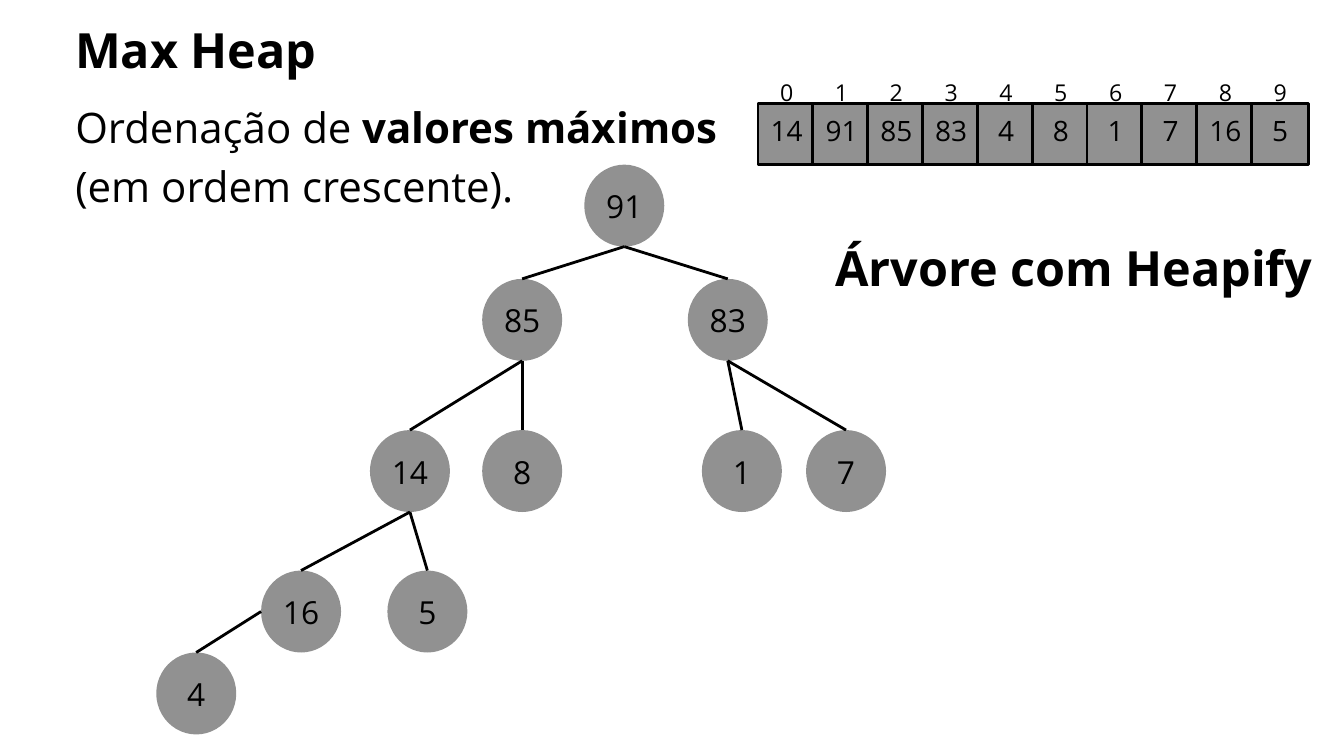
from typing import NamedTuple

from lxml import etree
from pptx import Presentation
from pptx import util as u
from pptx.dml.color import RGBColor
from pptx.enum import shapes, text
from pptx.oxml.ns import qn

WIDTH, HEIGHT = u.Inches(20), u.Inches(11.25)
BLACK = RGBColor(0x00, 0x00, 0x00)
GRAY = RGBColor(0x91, 0x91, 0x91)
FONT = "Open Sans"
LINE_FACTOR = 1.4
STROKE = u.Pt(3)
TOP = 0  # connection site at the top of an oval

# Places and sizes are percent shares of the slide's width and height.
NODE_W, NODE_H = 5.95, 10.84
LEVELS = (21.78, 36.89, 56.89, 75.47, 86.31)
ARRAY_LEFT, ARRAY_TOP = 56.4, 13.69
CELL_W, CELL_H, CELL_PITCH = 4.27, 8.09, 4.08
INDEX_TOP, INDEX_W, INDEX_H = 9.69, 1.2, 4
VALUES = (14, 91, 85, 83, 4, 8, 1, 7, 16, 5)


class Span(NamedTuple):
    words: str
    bold: bool = False


class Area(NamedTuple):
    left: float
    top: float
    width: float
    height: float

    def lengths(self) -> tuple[int, int, int, int]:
        return across(self.left), down(self.top), across(self.width), down(self.height)


class Node(NamedTuple):
    value: int
    center: float
    level: int
    parent: int | None = None
    from_side: bool = False


class Heading(NamedTuple):
    area: Area
    size: float
    lines: tuple[tuple[Span, ...], ...]
    align: text.PP_ALIGN = text.PP_ALIGN.CENTER


NODES = (
    Node(91, 46.45, 0),
    Node(85, 38.85, 1, 91),
    Node(83, 54.15, 1, 91),
    Node(14, 30.5, 2, 85),
    Node(8, 38.85, 2, 85),
    Node(1, 55.2, 2, 83),
    Node(7, 62.95, 2, 83),
    Node(16, 22.4, 3, 14),
    Node(5, 31.8, 3, 14),
    Node(4, 14.6, 4, 16, from_side=True),
)

HEADINGS = (
    Heading(Area(5.3, 1.33, 18.55, 8.62), 52, ((Span("Max Heap", True),),)),
    Heading(
        Area(5.6, 12.36, 47.9, 15.29), 45,
        ((Span("Ordenação de "), Span("valores máximos", True)),
         (Span("(em ordem crescente)."),)),
        text.PP_ALIGN.LEFT,
    ),
    Heading(Area(61.8, 30.13, 36.2, 8.62), 52, ((Span("Árvore com Heapify", True),),)),
)


def across(share: float) -> int:
    return round(WIDTH * share / 100)


def down(share: float) -> int:
    return round(HEIGHT * share / 100)


def apply(target, formats: dict) -> None:
    for name, value in formats.items():
        setattr(target, name, value)


def write(box, lines, size: float, align=text.PP_ALIGN.CENTER,
          anchor=text.MSO_ANCHOR.TOP, inset: float = 0, bottom: float = 0) -> None:
    frame = box.text_frame
    apply(frame, {
        "word_wrap": True, "vertical_anchor": anchor,
        "margin_left": u.Inches(inset), "margin_right": u.Inches(inset),
        "margin_top": u.Inches(inset), "margin_bottom": u.Inches(bottom),
    })
    for number, spans in enumerate(lines):
        para = frame.add_paragraph() if number else frame.paragraphs[0]
        apply(para, {"alignment": align, "line_spacing": u.Pt(size * LINE_FACTOR)})
        for span in spans:
            run = para.add_run()
            run.text = span.words
            apply(run.font, {"name": FONT, "size": u.Pt(size), "bold": span.bold})
            run.font.color.rgb = BLACK


def add_gray_shape(page, kind, area: Area):
    shape = page.shapes.add_shape(kind, *area.lengths())
    shape.shadow.inherit = False
    shape.fill.solid()
    shape.fill.fore_color.rgb = GRAY
    return shape


def add_heading(page, heading: Heading) -> None:
    box = page.shapes.add_textbox(*heading.area.lengths())
    write(box, heading.lines, heading.size, heading.align)


def add_cell(page, index: int, value: int) -> None:
    left = ARRAY_LEFT + index * CELL_PITCH
    cell = add_gray_shape(page, shapes.MSO_SHAPE.RECTANGLE,
                          Area(left, ARRAY_TOP, CELL_W, CELL_H))
    cell.line.color.rgb = BLACK
    cell.line.width = STROKE
    write(cell, ((Span(str(value)),),), 30,
          anchor=text.MSO_ANCHOR.MIDDLE, inset=0.06, bottom=0.25)
    label = Area(left + (CELL_W - INDEX_W) / 2, INDEX_TOP, INDEX_W, INDEX_H)
    box = page.shapes.add_textbox(*label.lengths())
    write(box, ((Span(str(index)),),), 24.8)


def add_node(page, node: Node):
    area = Area(node.center - NODE_W / 2, LEVELS[node.level], NODE_W, NODE_H)
    oval = add_gray_shape(page, shapes.MSO_SHAPE.OVAL, area)
    oval.line.fill.background()
    write(oval, ((Span(str(node.value)),),), 34,
          anchor=text.MSO_ANCHOR.MIDDLE, inset=0.05, bottom=0.13)
    return oval


def add_edge(page, child, parent, from_side: bool) -> None:
    if from_side:
        x, y = parent.left, parent.top + parent.height // 2
    else:
        x, y = parent.left + parent.width // 2, parent.top + parent.height
    edge = page.shapes.add_connector(
        shapes.MSO_CONNECTOR.STRAIGHT, child.left + child.width // 2, child.top, x, y)
    edge.begin_connect(child, TOP)
    edge.line.color.rgb = BLACK
    edge.line.width = STROKE
    etree.SubElement(edge.element.spPr, qn("a:effectLst"))


def main() -> None:
    deck = Presentation()
    deck.slide_width, deck.slide_height = WIDTH, HEIGHT
    page = deck.slides.add_slide(deck.slide_layouts[6])

    # Headings
    for heading in HEADINGS:
        add_heading(page, heading)

    # Array with its indexes
    for index, value in enumerate(VALUES):
        add_cell(page, index, value)

    # Heap tree
    ovals = {node.value: add_node(page, node) for node in NODES}
    for node in NODES:
        if node.parent is not None:
            add_edge(page, ovals[node.value], ovals[node.parent], node.from_side)

    deck.save("out.pptx")


if __name__ == "__main__":
    main()
